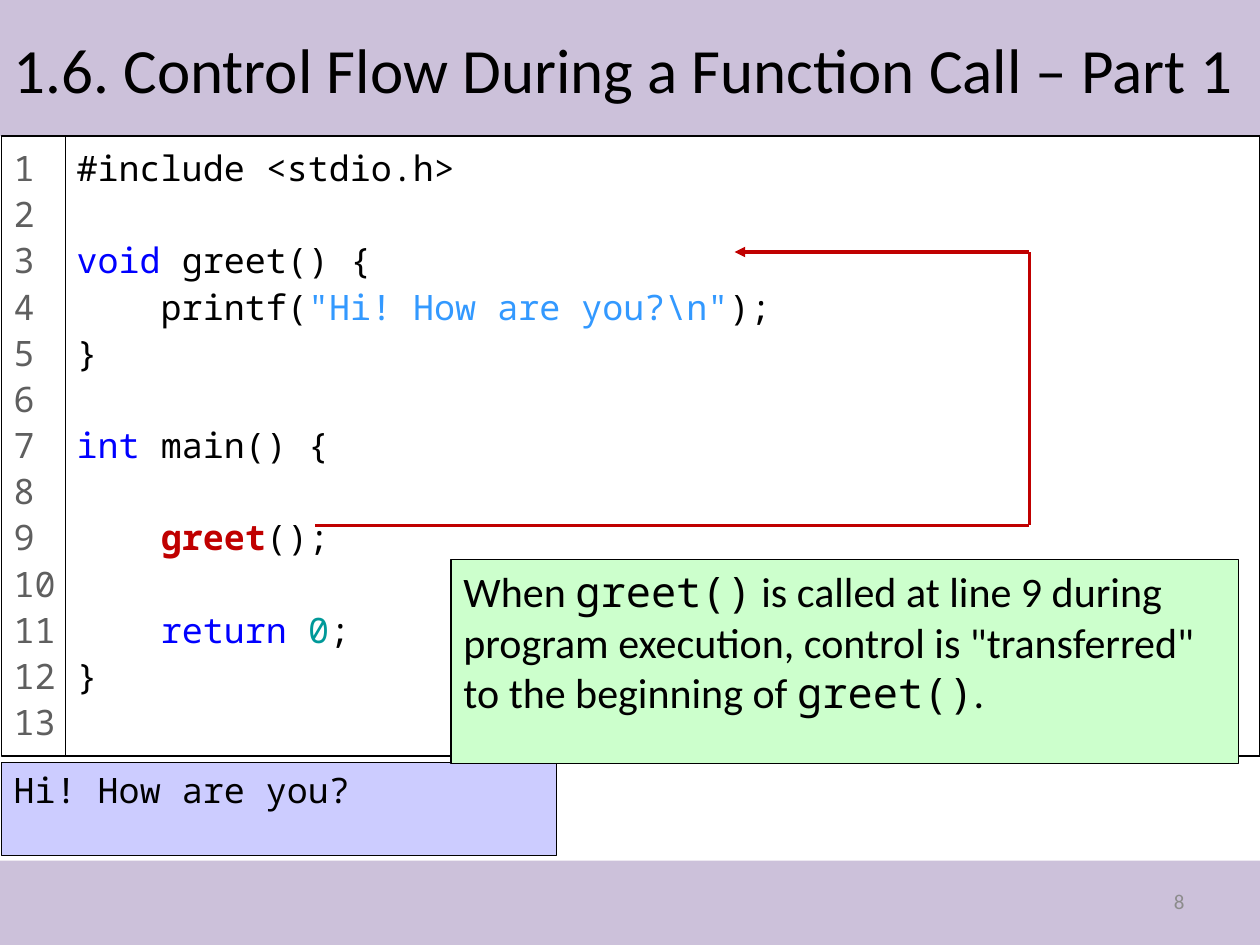
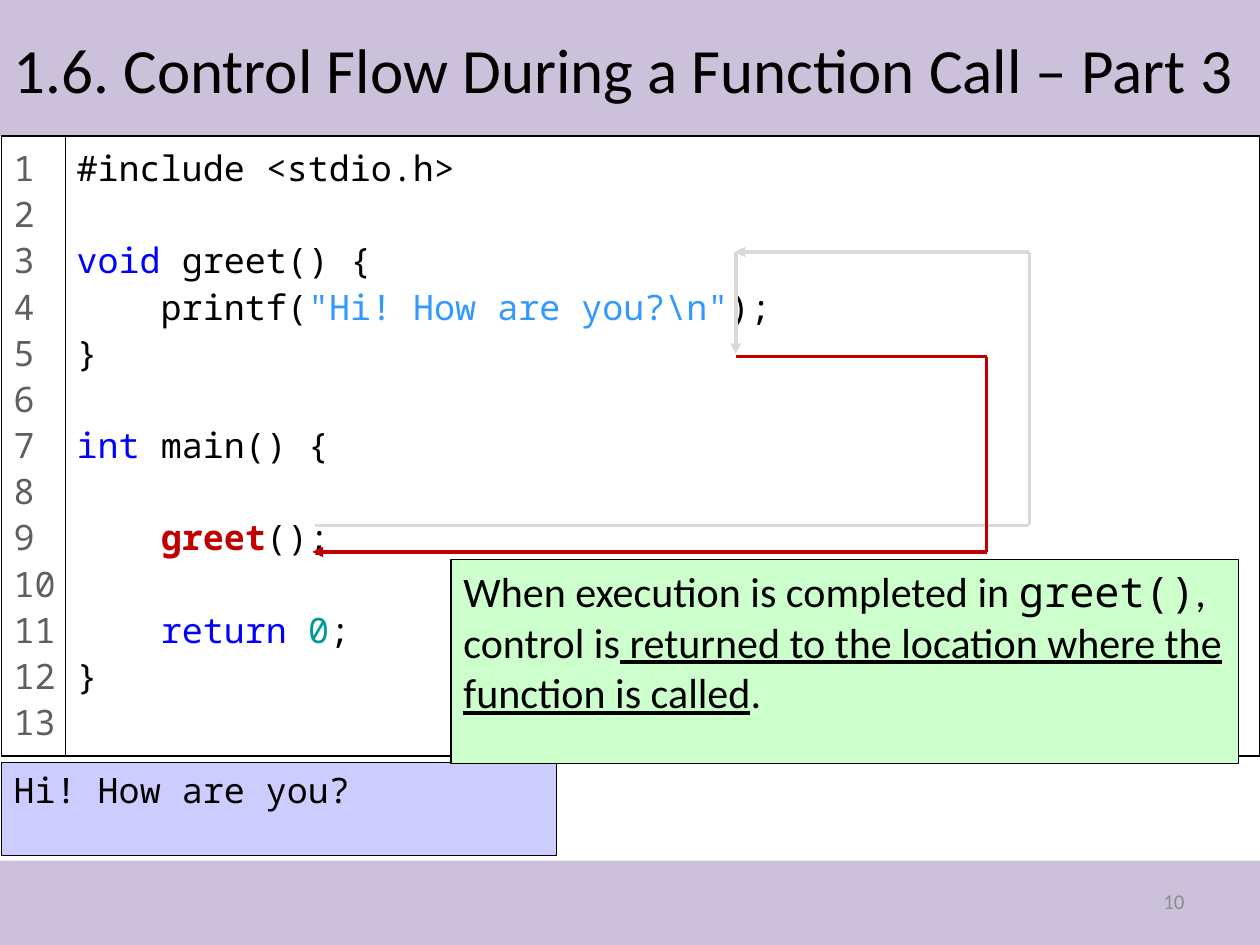
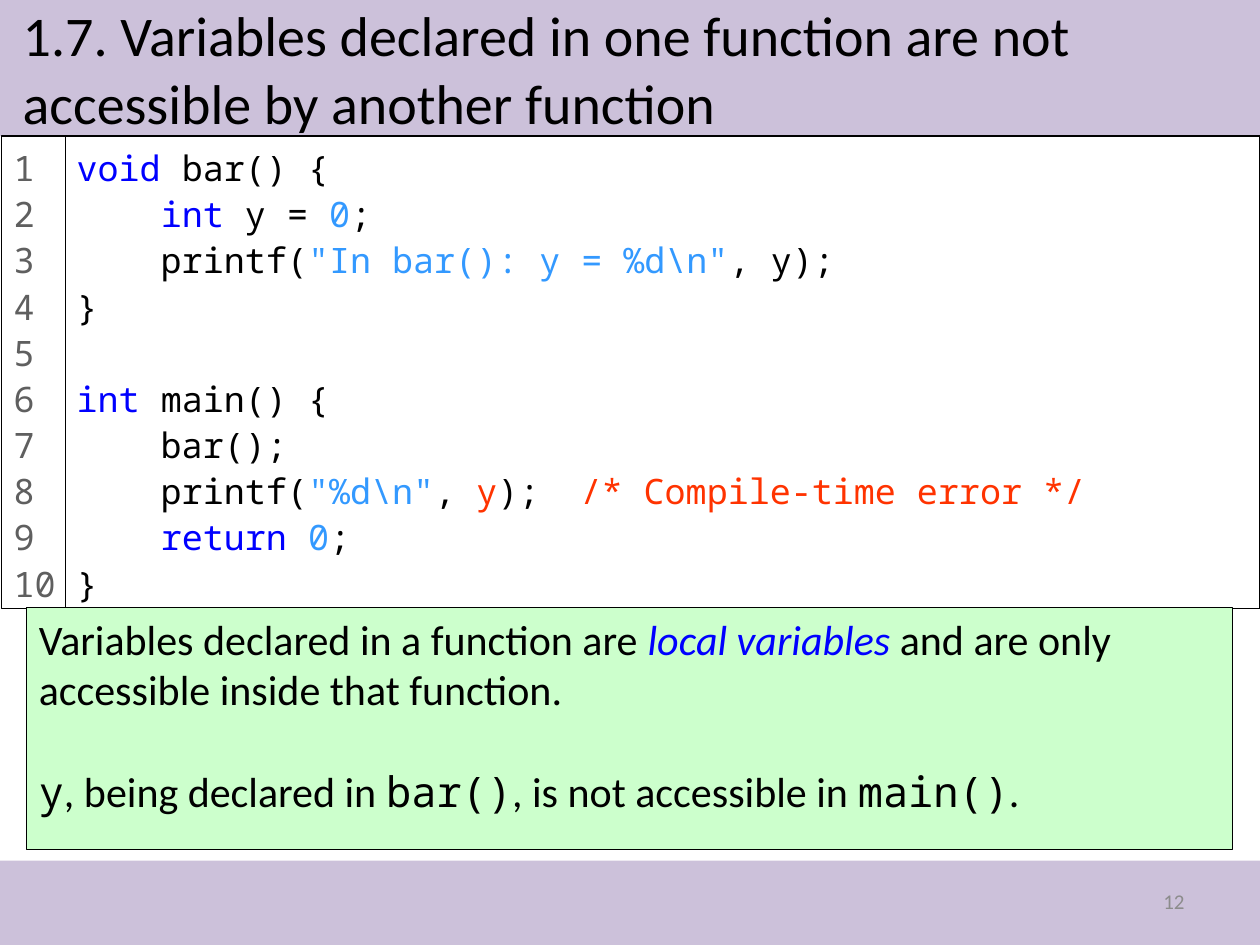
from itertools import pairwise

from lxml import etree
from pptx import Presentation
from pptx.dml.color import RGBColor
from pptx.enum.shapes import MSO_CONNECTOR as Link, MSO_SHAPE as Kind
from pptx.enum.text import MSO_ANCHOR as Anchor, MSO_AUTO_SIZE as Fit, PP_ALIGN as Align
from pptx.oxml.ns import qn
from pptx.util import Inches, Pt

COLORS = {
    "black": "000000", "white": "FFFFFF", "band": "CCC1DA", "page": "8C8C8C",
    "count": "5F5F5F", "note": "CCFFCC", "output": "CCCCFF", "faint": "D9D9D9",
    "word": "0000FF", "string": "3399FF", "number": "009999",
    "call": "C00000", "error": "FF3300",
}
SANS, MONO = "Calibri", "Noto Sans Mono"

# Looks a piece of text can have: colour, typeface, or emphasis
LOOKS = {name: {"color": name} for name in ("word", "string", "number", "error")}
LOOKS |= {
    "call": {"color": "call", "bold": True},
    "mono": {"name": MONO},
    "term": {"color": "word", "italic": True},
    "under": {"underline": True},
}

GREET = [
    ["#include <stdio.h>"],
    [],
    [("void ", "word"), "greet() {"],
    ["    printf(", ('"Hi! How are you?\\n"', "string"), ");"],
    ["}"],
    [],
    [("int", "word"), " main() {"],
    [],
    ["    ", ("greet", "call"), "();"],
    [],
    ["    ", ("return ", "word"), ("0", "number"), ";"],
    ["}"],
]
BAR = [
    [("void", "word"), " bar() {"],
    ["    ", ("int", "word"), " y = ", ("0", "string"), ";"],
    ["    printf(", ('"In bar(): y = %d\\n"', "string"), ", y);"],
    ["}"],
    [],
    [("int", "word"), " main() {"],
    ["    bar();"],
    ["    printf(", ('"%d\\n"', "string"), ", ", ("y", "error"), ");\t",
     ("/* Compile-time error */", "error")],
    ["    ", ("return ", "word"), ("0", "string"), ";"],
    ["}"],
]
CALL = [(2.5, 4.17), (8.17, 4.17), (8.17, 2), (5.83, 2)]
BODY = [(5.84, 2), (5.84, 2.81)]
BACK = [(5.84, 2.83), (7.83, 2.83), (7.83, 4.38), (2.48, 4.38)]


def rgb(name):
    return RGBColor.from_string(COLORS[name])


class Deck:
    def __init__(self):
        self.prs = Presentation()
        self.prs.slide_width, self.prs.slide_height = Inches(10), Inches(7.5)
        self.slide = None

    def start(self, title, page, size=36, at=(0.01, 0, 9.99, 1.08)):
        first = self.slide is None
        self.slide = self.prs.slides.add_slide(self.prs.slide_layouts[5])
        if first:
            self.bands()
        head = self.slide.shapes.title
        head.left, head.top, head.width, head.height = map(Inches, at)
        frame = head.text_frame
        frame.auto_size, frame.vertical_anchor = Fit.NONE, Anchor.MIDDLE
        self.put(frame, [[title]], size)
        spot = map(Inches, (7.17, 6.95, 2.33, 0.4))
        frame = self.slide.shapes.add_textbox(*spot).text_frame
        frame.vertical_anchor = Anchor.MIDDLE
        self.put(frame, [[str(page)]], 12, color="page", align=Align.RIGHT)

    def bands(self):
        """Build both bands once and move them to the master."""
        tree = self.prs.slide_master.shapes.element
        for top, height in ((0, 1.08), (6.83, 0.67)):
            band = self.box((0, top, 10, height), "band", line=False)
            tree.insert(2, band.element)

    def box(self, at, fill, line=True):
        shape = self.slide.shapes.add_shape(Kind.RECTANGLE, *map(Inches, at))
        shape.shadow.inherit = False
        shape.fill.solid()
        shape.fill.fore_color.rgb = rgb(fill)
        if line:
            shape.line.color.rgb = rgb("black")
            shape.line.width = Pt(0.75)
        else:
            shape.line.fill.background()
        shape.text_frame.vertical_anchor = Anchor.TOP
        return shape

    def put(self, frame, lines, size, font=SANS, color="black",
            align=Align.LEFT, pitch=None, gap=0):
        """Fill a frame; each line is a list of strings and (string, look) pairs."""
        frame.word_wrap = True
        for i, line in enumerate(lines):
            par = frame.add_paragraph() if i else frame.paragraphs[0]
            par.alignment = align
            if pitch:
                par.line_spacing = pitch
            if i and gap:
                par.space_before = Pt(gap)
            par.font.size, par.font.name = Pt(size), font
            par.font.color.rgb = rgb(color)
            for piece in line:
                text, look = (piece, None) if isinstance(piece, str) else piece
                run = par.add_run()
                run.text = text
                if look:
                    self.dress(run.font, LOOKS[look])

    def dress(self, font, look):
        font.name = look.get("name")
        font.bold = look.get("bold")
        font.italic = look.get("italic")
        font.underline = look.get("underline")
        if "color" in look:
            font.color.rgb = rgb(look["color"])

    def code(self, lines, count, height):
        """Draw a listing with its column of line numbers."""
        main = self.box((0.51, 1.08, 9.49, height), "white")
        self.put(main.text_frame, lines, 20, MONO, pitch=1.1)
        side = self.box((0.01, 1.08, 0.51, height), "white")
        side.text_frame.margin_right = 0
        rows = [[str(n + 1)] for n in range(count)]
        self.put(side.text_frame, rows, 20, MONO, "count", pitch=1.1)

    def note(self, at, lines, gap=0):
        self.put(self.box(at, "note").text_frame, lines, 24, gap=gap)

    def route(self, points, color):
        """Join points with straight lines, with an arrowhead at the last."""
        for start, end in pairwise(points):
            leg = self.slide.shapes.add_connector(
                Link.STRAIGHT, *map(Inches, start + end))
            leg.line.color.rgb = rgb(color)
            leg.line.width = Pt(2)
            props = leg.element.spPr
            if end == points[-1]:
                etree.SubElement(props.find(qn("a:ln")), qn("a:tailEnd"), type="triangle")
            etree.SubElement(props, qn("a:effectLst"))

    def flow(self, part, page, text, routes):
        """Make a slide that traces the call of greet()."""
        self.start(f"1.6. Control Flow During a Function Call – Part {part}", page)
        self.code(GREET, 13, 4.92)
        out = self.box((0.01, 6.05, 4.41, 0.74), "output")
        self.put(out.text_frame, [["Hi! How are you?"]], 20, MONO)
        self.note((3.58, 4.44, 6.25, 1.62), [text])
        for points, color in routes:
            self.route(points, color)


def main():
    deck = Deck()
    deck.flow(1, 8, [
        "When ", ("greet()", "mono"),
        " is called at line 9 during program execution, control is "
        '"transferred" to the beginning of ', ("greet()", "mono"), ".",
    ], [(CALL, "call")])
    deck.flow(3, 10, [
        "When execution is completed in ", ("greet()", "mono"), ", control is",
        (" returned to the location where the function is called", "under"), ".",
    ], [(CALL, "faint"), (BODY, "faint"), (BACK, "call")])

    deck.start("1.7. Variables declared in one function are not accessible "
               "by another function", 12, 32, (0.08, 0.08, 9.84, 0.92))
    deck.code(BAR, 10, 3.75)
    deck.note((0.21, 4.82, 9.57, 1.92), [
        ["Variables declared in a function are ", ("local variables", "term"),
         " and are only accessible inside that function."],
        [("y", "mono"), ", being declared in ", ("bar()", "mono"),
         ", is not accessible in ", ("main()", "mono"), "."],
    ], gap=29)
    deck.prs.save("out.pptx")


if __name__ == "__main__":
    main()
